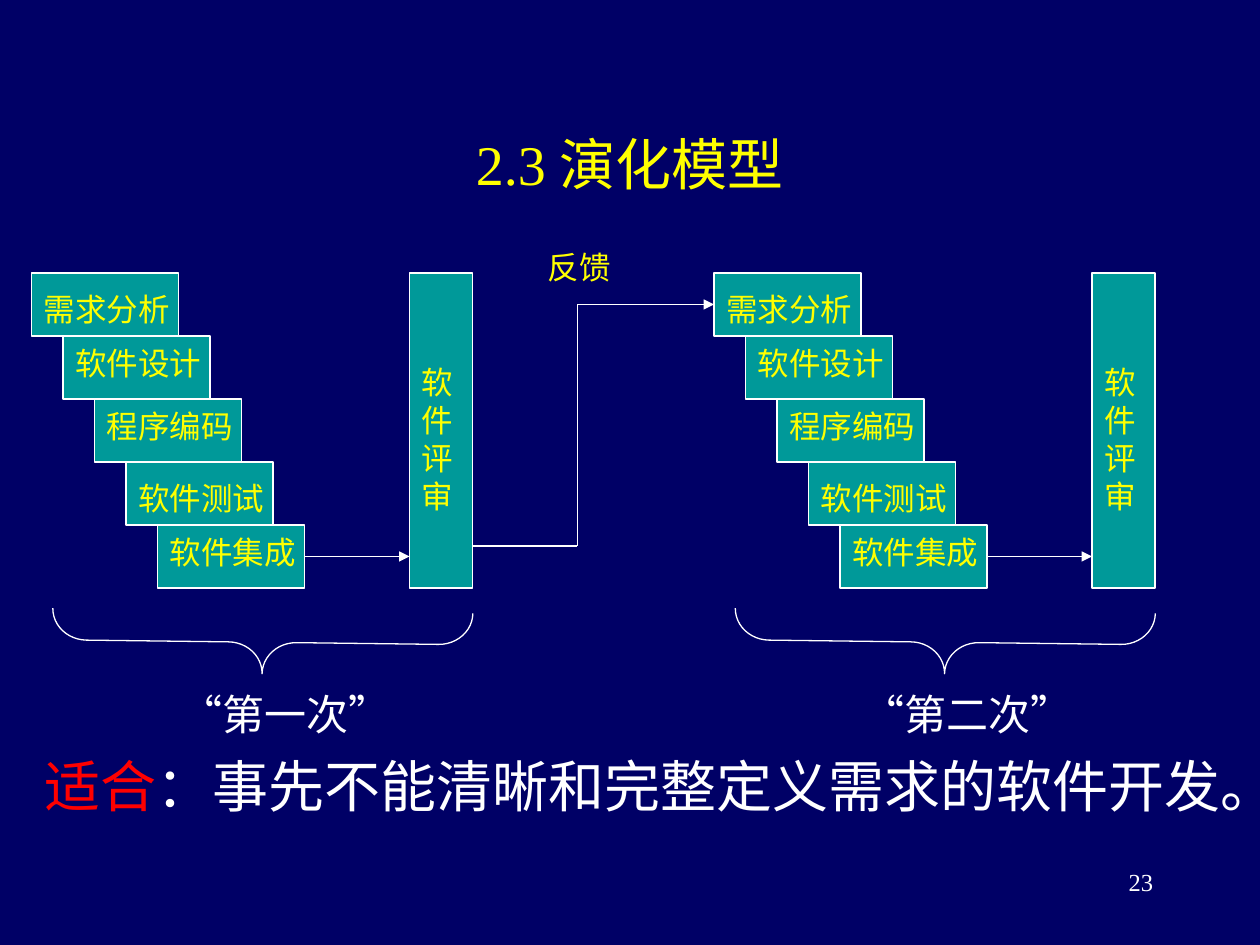
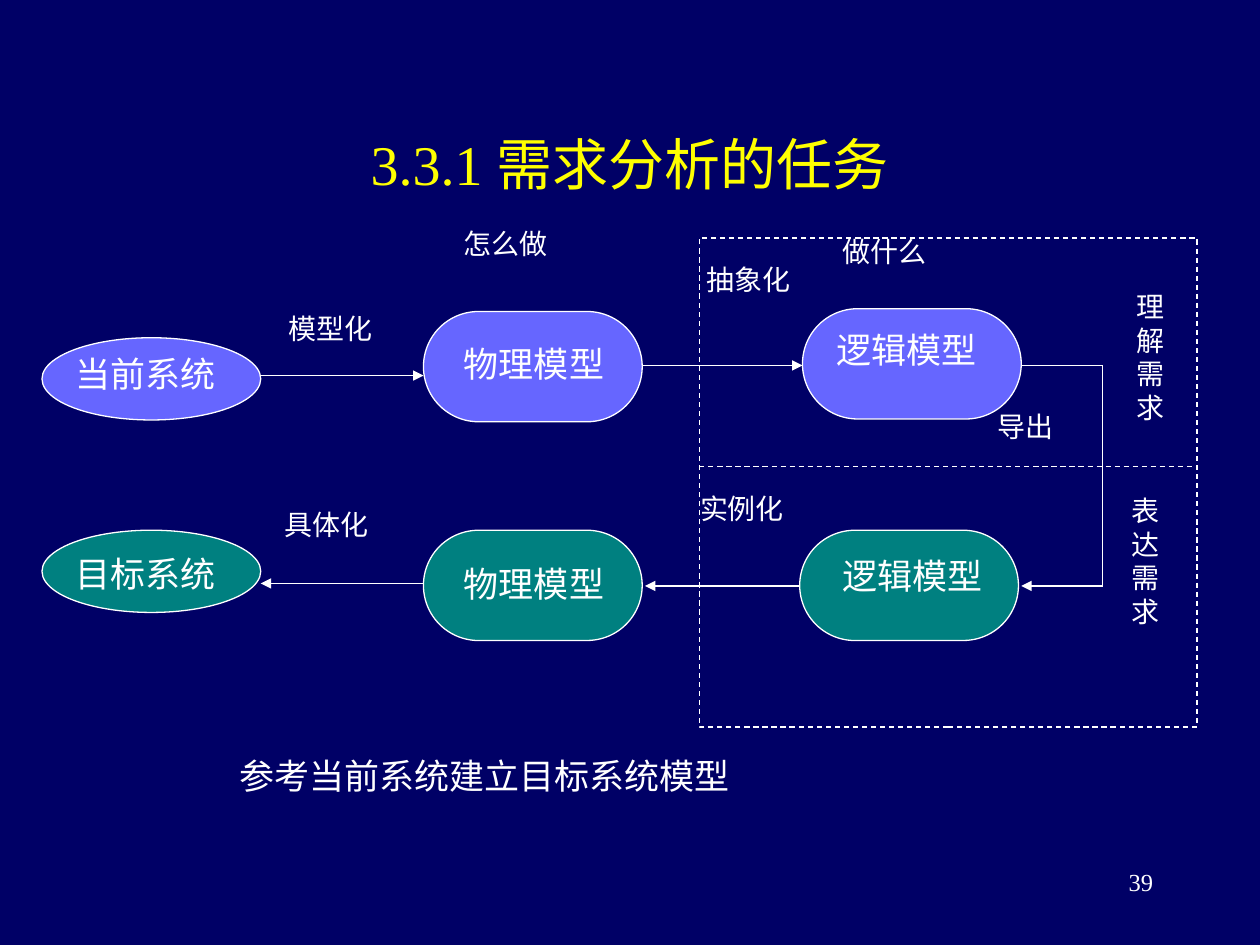
import pptx
import pptx.dml.color
import pptx.enum.dml
import pptx.enum.shapes
import pptx.enum.text
import pptx.oxml.ns
import pptx.util
import lxml.etree

Pt = pptx.util.Pt
RGBColor = pptx.dml.color.RGBColor
Shape = pptx.enum.shapes.MSO_SHAPE
Align = pptx.enum.text.PP_ALIGN

NAVY = RGBColor(0x00, 0x00, 0x66)
YELLOW = RGBColor(0xFF, 0xFF, 0x00)
WHITE = RGBColor(0xFF, 0xFF, 0xFF)
RED = RGBColor(0xFF, 0x00, 0x00)
CYAN = RGBColor(0x00, 0x99, 0x99)
TEAL = RGBColor(0x00, 0x80, 0x80)
VIOLET = RGBColor(0x66, 0x66, 0xFF)
FONT = "Times New Roman"
LINE_WIDTH = 0.74


def add_run(paragraph, text, size, color):
    run = paragraph.add_run()
    run.text = text
    run.font.name = FONT
    run.font.size = Pt(size)
    run.font.color.rgb = color


def add_label(shapes, text, left, top, width, height, size=18, color=WHITE, align=Align.LEFT):
    textbox = shapes.add_textbox(Pt(left), Pt(top), Pt(width), Pt(height))
    textbox.text_frame.word_wrap = True
    paragraph = textbox.text_frame.paragraphs[0]
    paragraph.alignment = align
    add_run(paragraph, text, size, color)


def style_line(line, dashed=False):
    line.color.rgb = WHITE
    line.width = Pt(LINE_WIDTH)
    if dashed:
        line.dash_style = pptx.enum.dml.MSO_LINE.DASH


def add_outline(shapes, kind, left, top, width, height, fill=None, dashed=False):
    shape = shapes.add_shape(kind, Pt(left), Pt(top), Pt(width), Pt(height))
    shape.shadow.inherit = False
    if fill is None:
        shape.fill.background()
    else:
        shape.fill.solid()
        shape.fill.fore_color.rgb = fill
    style_line(shape.line, dashed)
    return shape


def add_route(shapes, points, arrow=True, dashed=False):
    for start, end in zip(points, points[1:]):
        connector = shapes.add_connector(
            pptx.enum.shapes.MSO_CONNECTOR.STRAIGHT, *(Pt(value) for value in start + end))
        style_line(connector.line, dashed)
        properties = connector._element.spPr
        lxml.etree.SubElement(properties, pptx.oxml.ns.qn("a:effectLst"))
    if arrow:
        outline = properties.find(pptx.oxml.ns.qn("a:ln"))
        lxml.etree.SubElement(outline, pptx.oxml.ns.qn("a:tailEnd"), type="triangle")


def place(shape, left, top, width, height):
    shape.left, shape.top, shape.width, shape.height = map(Pt, (left, top, width, height))


def add_titled_slide(presentation, layout_index, title, number):
    slide = presentation.slides.add_slide(presentation.slide_layouts[layout_index])
    place(slide.shapes.title, 54, 48, 612, 90)
    frame = slide.shapes.title.text_frame
    frame.vertical_anchor = pptx.enum.text.MSO_ANCHOR.MIDDLE
    frame.paragraphs[0].alignment = Align.CENTER
    add_run(frame.paragraphs[0], title, 32, YELLOW)
    add_label(slide.shapes, number, 516, 492, 150, 36, size=14, align=Align.RIGHT)
    return slide


def fill_body(body, lead, text, left, top, width, height):
    place(body, left, top, width, height)
    paragraph = body.text_frame.paragraphs[0]
    paragraph.space_before = Pt(20)
    properties = paragraph._p.get_or_add_pPr()
    properties.set("marL", str(Pt(27)))
    properties.set("indent", str(Pt(-27)))
    lxml.etree.SubElement(properties, pptx.oxml.ns.qn("a:buNone"))
    add_run(paragraph, lead, 32, RED)
    add_run(paragraph, text, 32, WHITE)


def add_cycle(shapes, left, top, caption):
    steps = [("需求分析", 6), ("软件设计", 1), ("程序编码", 1), ("软件测试", 6), ("软件集成", 1)]
    for index, (name, drop) in enumerate(steps):
        step_left, step_top = left + 18 * index, top + 36 * index
        add_outline(shapes, Shape.RECTANGLE, step_left, step_top, 84, 36, CYAN)
        add_label(shapes, name, step_left, step_top + drop, 96, 29, color=YELLOW)
    add_outline(shapes, Shape.RECTANGLE, left + 216, top, 36, 180, CYAN)
    add_label(shapes, "软件评审", left + 216, top + 48, 42, 94, color=YELLOW)
    add_route(shapes, [(left + 156, top + 162), (left + 216, top + 162)])
    brace = add_outline(shapes, Shape.LEFT_BRACE, left + 114, top + 91, 36, 240)
    brace.rotation = 270.7
    brace.adjustments[0] = 0.54
    add_label(shapes, caption, left + 78, top + 234, 150, 36, size=24)


def build_evolution_slide(presentation):
    slide = add_titled_slide(presentation, 1, "2.3 演化模型", "23")
    fill_body(slide.placeholders[1], "适合", "：事先不能清晰和完整定义需求的软件开发。",
              18, 426, 702, 48)
    add_cycle(slide.shapes, 18, 156, "“第一次”")
    add_cycle(slide.shapes, 408, 156, "“第二次”")
    add_route(slide.shapes, [(270, 312), (330, 312), (330, 174), (408, 174)])
    add_label(slide.shapes, "反馈", 306, 138, 96, 29, color=YELLOW)


def add_model_diagram(shapes, left, top):
    nodes = [
        (Shape.OVAL, 0, 67, 47, VIOLET),
        (Shape.ROUNDED_RECTANGLE, 218, 52, 63, VIOLET),
        (Shape.ROUNDED_RECTANGLE, 434.6, 50.4, 63, VIOLET),
        (Shape.OVAL, 0, 177, 47, TEAL),
        (Shape.ROUNDED_RECTANGLE, 218, 177, 63, TEAL),
        (Shape.ROUNDED_RECTANGLE, 433, 177, 63, TEAL),
    ]
    routes = [
        [(125, 88.6), (218, 88.6)],
        [(218, 207.4), (125, 207.4)],
        [(343, 82.8), (434.6, 82.8)],
        [(433, 208.8), (344.6, 208.8)],
        [(559.6, 82.8), (606, 82.8), (606, 208.8), (559.6, 208.8)],
    ]
    names = [
        ("当前系统", 12, 72), ("目标系统", 12, 186),
        ("物理模型", 234, 66), ("物理模型", 234, 192),
        ("逻辑模型", 447, 58.3), ("逻辑模型", 450.5, 187.2),
    ]
    notes = [
        ("模型化", 133.7, 48.2, 127, 70), ("具体化", 131.5, 160.6, 127, 70),
        ("抽象化", 372.7, 20.2, 127, 70), ("实例化", 369, 151.2, 127, 70),
        ("怎么做", 234, 0, 127, 70), ("做什么", 450.5, 4.3, 127, 70),
        ("导出", 539, 104.4, 50, 70),
        ("理解需求", 618.2, 36, 42, 135), ("表达需求", 615.4, 152.6, 42, 135),
    ]
    for kind, x, y, height, fill in nodes:
        node = add_outline(shapes, kind, left + x, top + y, 125, height, fill)
        if kind == Shape.ROUNDED_RECTANGLE:
            node.adjustments[0] = 0.5
    add_outline(shapes, Shape.RECTANGLE, left + 375.6, top + 10, 284.4, 279.4, dashed=True)
    divider = top + 140.4
    add_route(shapes, [(left + 375.6, divider), (left + 660, divider)], arrow=False, dashed=True)
    for points in routes:
        add_route(shapes, [(left + x, top + y) for x, y in points])
    for text, x, y in names:
        add_label(shapes, text, left + x, top + y, 127, 70, size=20, align=Align.JUSTIFY)
    for text, x, y, width, height in notes:
        add_label(shapes, text, left + x, top + y, width, height, size=16, align=Align.JUSTIFY)
    add_label(shapes, "参考当前系统建立目标系统模型", left + 105.6, top + 301.7, 428, 52.6,
              size=20, align=Align.JUSTIFY)


def build_requirements_slide(presentation):
    slide = add_titled_slide(presentation, 5, "3.3.1 需求分析的任务", "39")
    add_model_diagram(slide.shapes.add_group_shape().shapes, 24, 126)


presentation = pptx.Presentation()
presentation.slide_width, presentation.slide_height = Pt(720), Pt(540)
background = presentation.slide_master.background.fill
background.solid()
background.fore_color.rgb = NAVY
build_evolution_slide(presentation)
build_requirements_slide(presentation)
presentation.save("out.pptx")
